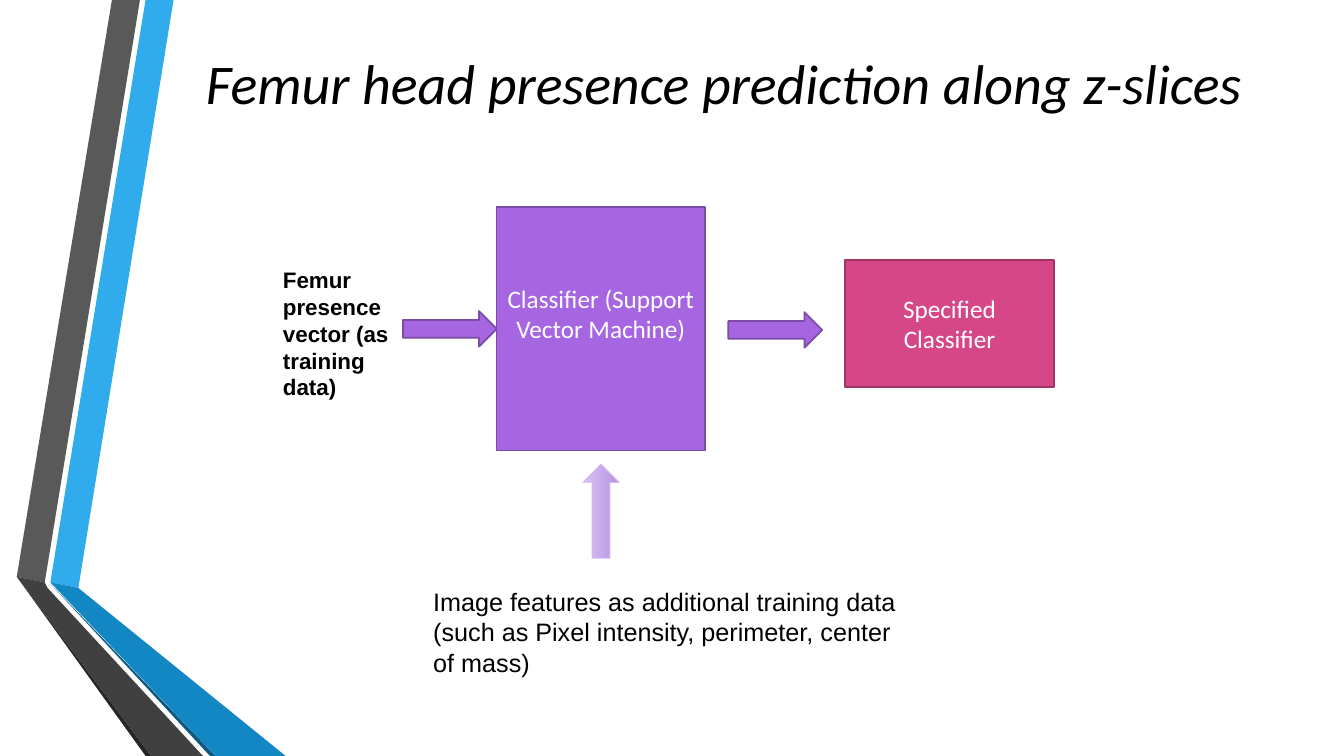
from pptx import Presentation
from pptx import util as u
from pptx.dml.color import RGBColor
from pptx.enum import shapes, text

Pt = u.Pt
COLORS = {
    "black": "000000", "white": "FFFFFF",
    "blue": "30ACEC", "blue_dark": "1287C3", "blue_edge": "0C5A82",
    "gray": "595959", "gray_dark": "404040", "gray_edge": "262626",
    "purple": "A666E1", "purple_line": "7B4BA6",
    "pale_start": "D9C6F1", "pale_end": "B88EE6", "pale_line": "D0B8EE",
    "pink": "D64787", "pink_line": "9E3564",
}


def write_text(shape, content, size=18, font="Arial", color="black", bold=False,
               italic=False, align="LEFT", anchor="TOP", bottom=3.6):
    frame = shape.text_frame
    frame.word_wrap = True
    frame.vertical_anchor = getattr(text.MSO_ANCHOR, anchor)
    frame.margin_bottom = Pt(bottom)
    frame.text = content
    for paragraph in frame.paragraphs:
        paragraph.alignment = getattr(text.PP_ALIGN, align)
        style = paragraph.runs[0].font
        style.name, style.size = font, Pt(size)
        style.bold, style.italic = bold, italic
        style.color.rgb = RGBColor.from_string(COLORS[color])


def paint(shape, fill, line=None, width=1.25):
    shape.shadow.inherit = False
    shape.fill.solid()
    shape.fill.fore_color.rgb = RGBColor.from_string(COLORS[fill])
    if line:
        shape.line.color.rgb = RGBColor.from_string(COLORS[line])
        shape.line.width = Pt(width)
    else:
        shape.line.fill.background()


presentation = Presentation()
presentation.slide_width, presentation.slide_height = Pt(960), Pt(540)
slide = presentation.slides.add_slide(presentation.slide_layouts[6])

# Folded ribbons on the left edge
ribbons = [
    ("blue", [(36, 416.5), (55.7, 419.8), (124.3, 0), (104.5, 0)]),
    ("gray", [(100, 0), (80, 0), (11.8, 412.4), (31.5, 415.8)]),
    ("gray_edge", [(11.8, 412.4), (104.5, 540), (108.5, 540)]),
    ("blue_edge", [(36, 416.7), (149.8, 540), (154, 540)]),
    ("blue_dark", [(36, 416.5), (154, 540), (204, 540), (55.7, 419.8)]),
    ("gray_dark", [(145.3, 540), (34.5, 419.6), (31.5, 415.8),
                   (11.8, 412.4), (108.5, 540)]),
]
for color, points in ribbons:
    builder = slide.shapes.build_freeform(*points[0], scale=Pt(1))
    builder.add_line_segments(points[1:], close=True)
    paint(builder.convert_to_shape(), color)

# Title and captions
captions = [
    ((122.4, 13.7, 789, 138), "Femur head presence prediction along z-slices",
     dict(size=40, font="Calibri", italic=True, align="CENTER",
          anchor="MIDDLE", bottom=52)),
    ((195, 186.5, 107.3, 104.4), "Femur presence vector (as training data)",
     dict(size=16, bold=True)),
    ((302.4, 415.4, 355.7, 72.7),
     "Image features as additional training data\n"
     "(such as Pixel intensity, perimeter, center of mass)", {}),
]
for box, content, style in captions:
    caption = slide.shapes.add_textbox(*map(Pt, box))
    write_text(caption, content, **style)

# Classifier boxes
boxes = [
    ((354.7, 147.8, 149, 174), "Classifier (Support Vector Machine)",
     "purple", 25.6),
    ((603.5, 185.7, 149.4, 90.7), "Specified Classifier", "pink", 3.6),
]
for box, content, color, bottom in boxes:
    classifier = slide.shapes.add_shape(shapes.MSO_SHAPE.RECTANGLE, *map(Pt, box))
    paint(classifier, color, color + "_line")
    write_text(classifier, content, font="Calibri", color="white",
               align="CENTER", anchor="MIDDLE", bottom=bottom)

# Flow arrows; the last one points up from the image features
for left, top in [(287.8, 222.2), (520.3, 223), (395.8, 352.5)]:
    arrow = slide.shapes.add_shape(shapes.MSO_SHAPE.RIGHT_ARROW,
                                   Pt(left), Pt(top), Pt(67), Pt(25.4))
    paint(arrow, "purple", "purple_line")
paint(arrow, "purple", "pale_line", width=0.75)
arrow.rotation = 270
arrow.fill.gradient()
arrow.fill.gradient_angle = 270
for stop, color in zip(arrow.fill.gradient_stops, ("pale_start", "pale_end")):
    stop.color.rgb = RGBColor.from_string(COLORS[color])

presentation.save("out.pptx")
